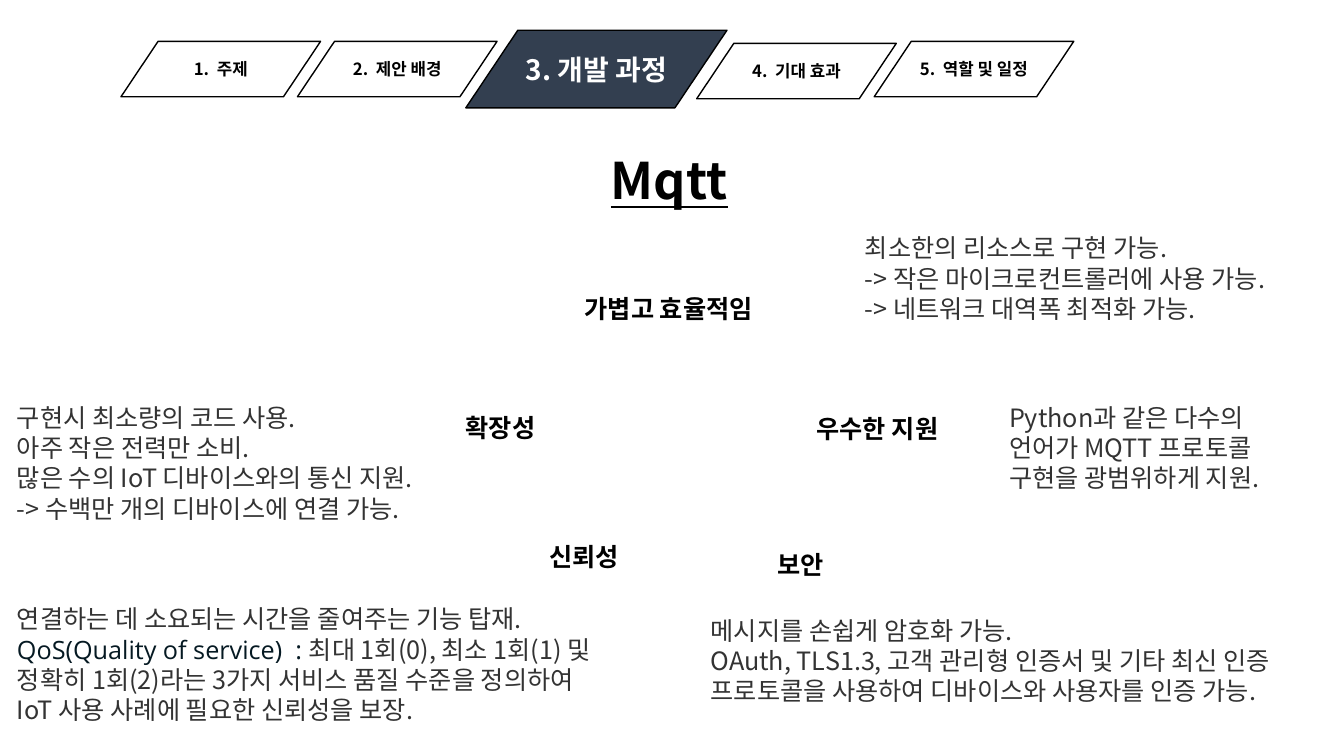
from dataclasses import dataclass

import pptx
import pptx.dml.color
import pptx.enum.shapes
import pptx.enum.text
import pptx.oxml
import pptx.oxml.ns
import pptx.util

RGBColor = pptx.dml.color.RGBColor
ALIGN = pptx.enum.text.PP_ALIGN
ANCHOR = pptx.enum.text.MSO_ANCHOR
AUTO_SIZE = pptx.enum.text.MSO_AUTO_SIZE

PX = 9144  # 100 px to the inch
BLACK = RGBColor(0x00, 0x00, 0x00)
WHITE = RGBColor(0xFF, 0xFF, 0xFF)
NAVY = RGBColor(0x33, 0x3F, 0x50)
GREY = RGBColor(0x33, 0x33, 0x33)
INK = RGBColor(0x05, 0x19, 0x22)
KOREAN = "Noto Sans CJK KR"
HEADING = "Arial Narrow"
LATIN = "Open Sans"


@dataclass(frozen=True)
class Style:
    size: int
    font: str
    color: RGBColor
    bold: bool = False
    underline: bool = False


@dataclass(frozen=True)
class Box:
    left: int
    top: int
    width: int
    height: int


@dataclass(frozen=True)
class Tab:
    text: str
    box: Box
    active: bool = False


@dataclass(frozen=True)
class Note:
    box: Box
    paragraphs: tuple[tuple[tuple[str, Style], ...], ...]


TITLE = Style(36, KOREAN, BLACK, bold=True, underline=True)
TAB = Style(12, KOREAN, BLACK, bold=True)
ACTIVE_TAB = Style(20, KOREAN, WHITE, bold=True)
LABEL = Style(18, HEADING, BLACK, bold=True)
BODY = Style(18, KOREAN, GREY)
QOS = Style(18, LATIN, INK)


def plain(box: Box, style: Style, *lines: str) -> Note:
    """A note with one run in each paragraph."""
    return Note(box, tuple(((line, style),) for line in lines))


TABS = [
    Tab("3. 개발 과정", Box(462, 30, 259, 77), active=True),
    Tab("1.  주제", Box(120, 41, 198, 55)),
    Tab("2.  제안 배경", Box(295, 41, 198, 55)),
    Tab("4.  기대 효과", Box(691, 43, 198, 55)),
    Tab("5.  역할 및 일정", Box(867, 41, 198, 55)),
]

NOTES = [
    plain(Box(570, 286, 209, 40), LABEL, "가볍고 효율적임"),
    plain(Box(452, 404, 209, 40), LABEL, "확장성"),
    plain(Box(535, 532, 209, 40), LABEL, "신뢰성"),
    plain(Box(761, 540, 115, 40), LABEL, "보안"),
    plain(Box(800, 405, 209, 40), LABEL, "우수한 지원"),
    plain(Box(848, 226, 470, 101), BODY,
          "최소한의 리소스로 구현 가능.",
          "-> 작은 마이크로컨트롤러에 사용 가능.",
          "-> 네트워크 대역폭 최적화 가능."),
    plain(Box(7, 394, 470, 131), BODY,
          "구현시 최소량의 코드 사용.",
          "아주 작은 전력만 소비.",
          "많은 수의 IoT 디바이스와의 통신 지원.",
          "-> 수백만 개의 디바이스에 연결 가능."),
    Note(Box(7, 594, 604, 131), ((
        ("연결하는 데 소요되는 시간을 줄여주는 기능 탑재. ", BODY),
        ("QoS(Quality of service)  : ", QOS),
        ("최대 1회(0), 최소 1회(1) 및 정확히 1회(2)라는 3가지 서비스 품질 수준을 "
         "정의하여 IoT 사용 사례에 필요한 신뢰성을 보장.", BODY),
    ),)),
    plain(Box(695, 605, 623, 101), BODY,
          "메시지를 손쉽게 암호화 가능.",
          "OAuth, TLS1.3, 고객 관리형 인증서 및 기타 최신 인증 "
          "프로토콜을 사용하여 디바이스와 사용자를 인증 가능."),
    plain(Box(991, 394, 300, 101), BODY,
          "Python과 같은 다수의 언어가 MQTT 프로토콜 구현을 광범위하게 지원."),
]


def emu(box: Box) -> tuple[int, int, int, int]:
    return box.left * PX, box.top * PX, box.width * PX, box.height * PX


def format_run(r, style: Style) -> None:
    r.font.size = pptx.util.Pt(style.size)
    r.font.name = style.font
    r.font.color.rgb = style.color
    r.font.bold = style.bold
    r.font.underline = style.underline
    ea = pptx.oxml.parse_xml(
        f'<a:ea {pptx.oxml.ns.nsdecls("a")} typeface="{KOREAN}"/>')
    r.font._element.find(pptx.oxml.ns.qn("a:latin")).addnext(ea)


def add_tab(s, tab: Tab) -> None:
    sp = s.shapes.add_shape(
        pptx.enum.shapes.MSO_SHAPE.PARALLELOGRAM, *emu(tab.box))
    sp.adjustments[0] = 0.67
    sp.shadow.inherit = False
    sp.fill.solid()
    sp.fill.fore_color.rgb = NAVY if tab.active else WHITE
    sp.line.color.rgb = BLACK
    sp.line.width = pptx.util.Pt(1)
    tf = sp.text_frame
    tf.text = tab.text
    tf.word_wrap = False
    tf.vertical_anchor = ANCHOR.MIDDLE
    p = tf.paragraphs[0]
    p.alignment = ALIGN.CENTER
    format_run(p.runs[0], ACTIVE_TAB if tab.active else TAB)


def set_title(s, text: str, box: Box) -> None:
    sp = s.shapes.title
    sp.left, sp.top, sp.width, sp.height = emu(box)
    tf = sp.text_frame
    tf.text = text
    tf.word_wrap = True
    tf.auto_size = AUTO_SIZE.SHAPE_TO_FIT_TEXT
    tf.vertical_anchor = ANCHOR.TOP
    p = tf.paragraphs[0]
    p.alignment = ALIGN.LEFT
    format_run(p.runs[0], TITLE)


def add_note(s, note: Note) -> None:
    tf = s.shapes.add_textbox(*emu(note.box)).text_frame
    tf.word_wrap = True
    tf.auto_size = AUTO_SIZE.SHAPE_TO_FIT_TEXT
    for i, runs in enumerate(note.paragraphs):
        p = tf.add_paragraph() if i else tf.paragraphs[0]
        for text, style in runs:
            r = p.add_run()
            r.text = text
            format_run(r, style)


def main() -> None:
    prs = pptx.Presentation()
    prs.slide_width, prs.slide_height = 1333 * PX, 750 * PX
    s = prs.slides.add_slide(prs.slide_layouts.get_by_name("Title Only"))
    for tab in TABS:
        add_tab(s, tab)
    set_title(s, "Mqtt", Box(596, 143, 141, 71))
    for note in NOTES:
        add_note(s, note)
    prs.save("out.pptx")


if __name__ == "__main__":
    main()
